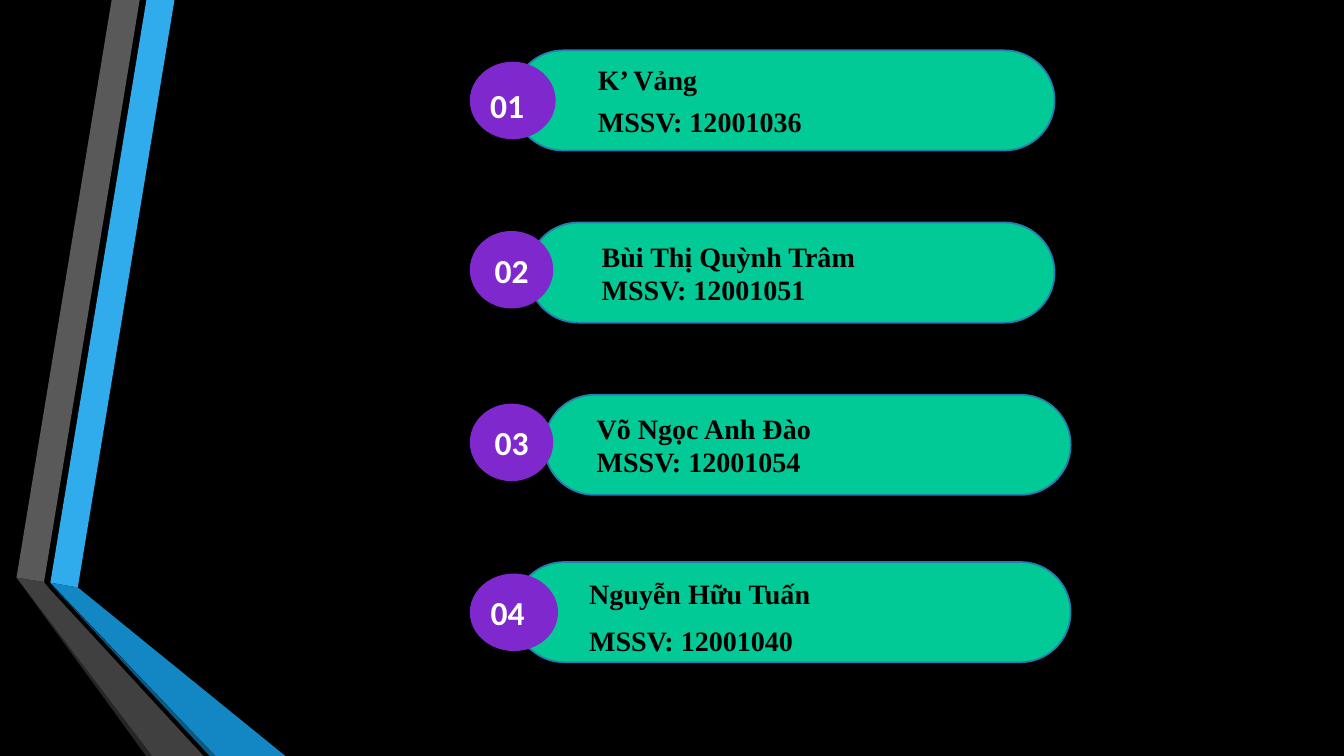
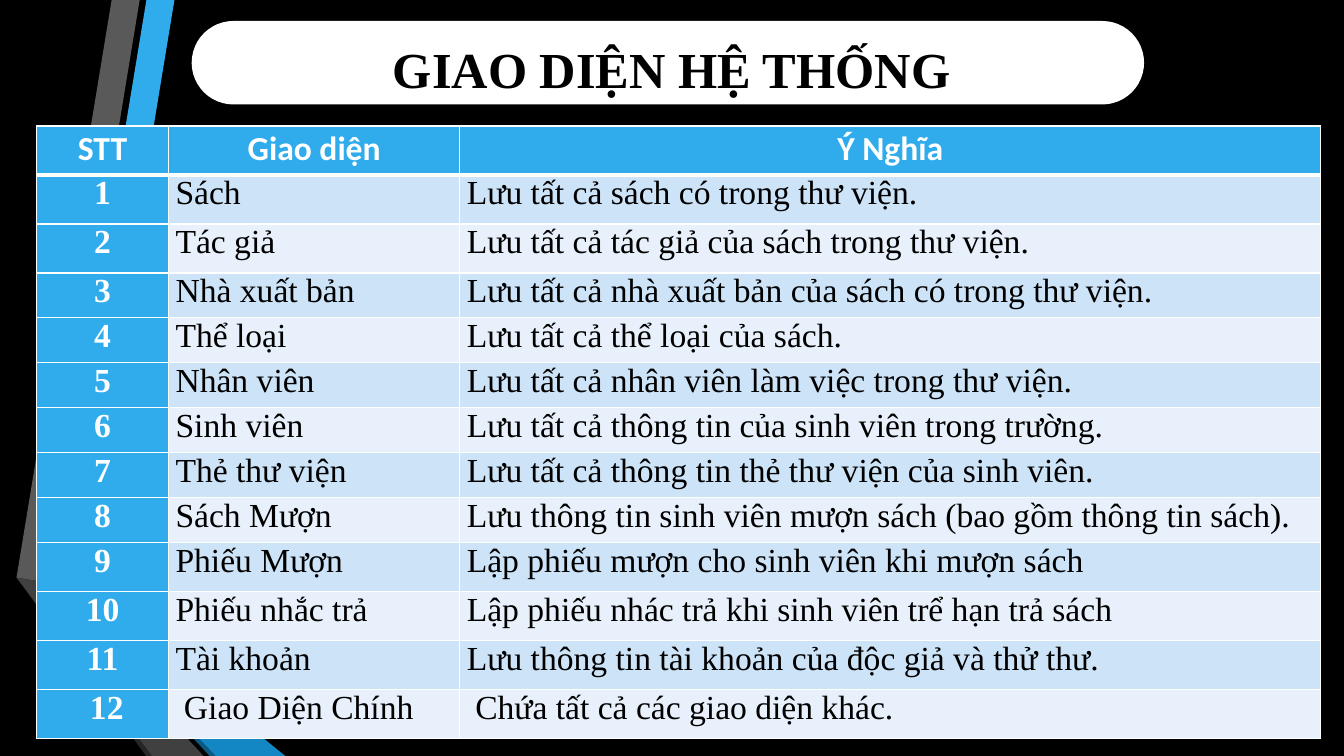
from dataclasses import dataclass

from lxml.etree import SubElement
from pptx import Presentation
from pptx.dml.color import RGBColor
from pptx.enum.shapes import MSO_SHAPE
from pptx.enum.text import MSO_ANCHOR, MSO_AUTO_SIZE, PP_ALIGN
from pptx.oxml.ns import qn
from pptx.util import Pt


@dataclass(frozen=True)
class Theme:
    heading_font: str = "Times New Roman"
    number_font: str = "Calibri"
    title_size: int = 36
    table_size: int = 24
    badge_size: int = 24
    card_size: int = 20
    black: str = "000000"
    white: str = "FFFFFF"
    blue: str = "30ACEC"
    green: str = "02CA96"
    green_edge: str = "247FAF"
    purple: str = "7E28CD"
    bands: tuple = ("CDE3F8", "E8F1FB")


@dataclass(frozen=True)
class Member:
    name: str
    code: str
    pill: tuple
    badge: tuple
    text_left: float
    gap: float = 0
    anchor: MSO_ANCHOR = MSO_ANCHOR.MIDDLE
    badge_margins: tuple = (0, 0, 0, 0)


THEME = Theme()
CORNER_INSET = 0.146  # share of a pill's height that its round ends take from the text area

RIBBONS = [
    (THEME.blue, [(36, 416.2), (55.6, 419.6), (124.6, 0), (104.6, 0)]),
    ("595959", [(99.8, 0), (79.8, 0), (11.8, 412.6), (31.5, 415.8)]),
    ("262626", [(11.8, 412.6), (104.4, 540), (108.7, 540)]),
    ("0C5A82", [(36, 416.9), (149.8, 540), (154.1, 540)]),
    ("1287C3", [(36, 416.2), (154.1, 540), (203.8, 540), (55.6, 419.6)]),
    ("404040", [(145.4, 540), (34.6, 419.8), (31.5, 415.8), (11.8, 412.6), (108.7, 540)]),
]

MEMBERS = [
    Member("K’ Vảng", "12001036", (366.5, 36, 386.8, 71.5), (335.6, 44.1, 61.3, 55.4),
           427, gap=5.8, badge_margins=(0, 7, 8, 0)),
    Member("Bùi Thị Quỳnh Trâm", "12001051", (377.3, 159, 376, 71.5),
           (335.6, 165, 59.6, 55.4), 429.8),
    Member("Võ Ngọc Anh Đào", "12001054", (388.8, 282, 376, 71.5),
           (335.6, 288.3, 59.6, 55.4), 426.2),
    Member("Nguyễn Hữu Tuấn", "12001040", (367.2, 401.5, 397.5, 71.5),
           (335.6, 409.7, 63, 55.4), 420.8, gap=9.4, anchor=MSO_ANCHOR.TOP,
           badge_margins=(0, 0, 9, 0)),
]

HEADER = ("STT", "Giao diện", "Ý Nghĩa")
SCREENS = [
    ("Sách", "Lưu tất cả sách có trong thư viện."),
    ("Tác giả", "Lưu tất cả tác giả của sách trong thư viện."),
    ("Nhà xuất bản", "Lưu tất cả nhà xuất bản của sách có trong thư viện."),
    ("Thể loại", "Lưu tất cả thể loại của sách."),
    ("Nhân viên", "Lưu tất cả nhân viên làm việc trong thư viện."),
    ("Sinh viên", "Lưu tất cả thông tin của sinh viên trong trường."),
    ("Thẻ thư viện", "Lưu tất cả thông tin thẻ thư viện của sinh viên."),
    ("Sách Mượn", "Lưu thông tin sinh viên mượn sách (bao gồm thông tin sách)."),
    ("Phiếu Mượn", "Lập phiếu mượn cho sinh viên khi mượn sách"),
    ("Phiếu nhắc trả", "Lập phiếu nhác trả khi sinh viên trể hạn trả sách"),
    ("Tài khoản", "Lưu thông tin tài khoản của độc giả và thử thư."),
    ("Giao Diện Chính", "Chứa tất cả các giao diện khác."),
]
COLUMN_WIDTHS = (94.3, 208.1, 614.9)
ROW_HEIGHTS = [35] * 3 + [32.1] * 6 + [35] * 4


def points(values):
    return [Pt(value) for value in values]


def paint(item, color):
    item.fill.solid()
    item.fill.fore_color.rgb = RGBColor.from_string(color)


def write(frame, text, *, size, font=THEME.heading_font, color=THEME.black, bold=True,
          align=PP_ALIGN.LEFT, gap=0, line_spacing=None):
    """Fill a text frame, one paragraph per line of text, with gap points between them."""
    frame.word_wrap = True
    for index, line in enumerate(text.split("\n")):
        para = frame.add_paragraph() if index else frame.paragraphs[0]
        para.alignment = align
        para.space_before = Pt(gap if index else 0)
        para.line_spacing = line_spacing
        span = para.add_run()
        span.text = line
        span.font.name = font
        span.font.size = Pt(size)
        span.font.bold = bold
        span.font.color.rgb = RGBColor.from_string(color)


def set_margins(holder, margins):
    """Set left, top, right and bottom insets of a text frame or a table cell."""
    (holder.margin_left, holder.margin_top,
     holder.margin_right, holder.margin_bottom) = points(margins)


def add_borders(cell, color, **widths):
    """Draw cell borders; widths are in points, keyed by side: L, R, T, B."""
    properties = cell._tc.get_or_add_tcPr()
    for side, width in widths.items():
        line = SubElement(properties, qn(f"a:ln{side}"), w=str(Pt(width)))
        fill = SubElement(line, qn("a:solidFill"))
        SubElement(fill, qn("a:srgbClr"), val=color)


class SlideBuilder:
    def __init__(self, theme):
        self.theme = theme
        self.deck = Presentation()
        self.deck.slide_width, self.deck.slide_height = Pt(960), Pt(540)
        paint(self.deck.slide_master.background, theme.black)
        self.page = None

    def add_page(self, layout_name):
        layout = self.deck.slide_layouts.get_by_name(layout_name)
        self.page = self.deck.slides.add_slide(layout)

    def move_ribbons_to_master(self):
        """Draw the ribbons on the current page, then hand them to the slide master."""
        for number, (color, corners) in enumerate(RIBBONS, start=101):
            start, *others = [points(corner) for corner in corners]
            builder = self.page.shapes.build_freeform(*start)
            builder.add_line_segments(others, close=True)
            ribbon = builder.convert_to_shape()
            ribbon.shadow.inherit = False
            ribbon.line.fill.background()
            paint(ribbon, color)
            ribbon.element.nvSpPr.cNvPr.set("id", str(number))
            self.deck.slide_master.shapes.element.append(ribbon.element)

    def shape(self, kind, bounds, color, edge=None):
        box = self.page.shapes.add_shape(kind, *points(bounds))
        box.shadow.inherit = False
        paint(box, color)
        if edge:
            box.line.color.rgb = RGBColor.from_string(edge)
            box.line.width = Pt(1.25)
        else:
            box.line.fill.background()
        return box

    def pill(self, bounds, color, edge=None):
        box = self.shape(MSO_SHAPE.ROUNDED_RECTANGLE, bounds, color, edge)
        box.adjustments[0] = 0.5
        return box

    def member_card(self, number, member):
        theme = self.theme
        left, _, _, height = member.pill
        frame = self.pill(member.pill, theme.green, theme.green_edge).text_frame
        set_margins(frame, (member.text_left - left - CORNER_INSET * height, 0, 0, 0))
        frame.vertical_anchor = member.anchor
        write(frame, f"{member.name}\nMSSV: {member.code}", size=theme.card_size,
              gap=member.gap)

        frame = self.shape(MSO_SHAPE.OVAL, member.badge, theme.purple).text_frame
        set_margins(frame, member.badge_margins)
        frame.vertical_anchor = MSO_ANCHOR.MIDDLE
        write(frame, f"{number:02}", size=theme.badge_size, font=theme.number_font,
              color=theme.white, align=PP_ALIGN.CENTER)

    def title(self, text):
        self.pill((136.9, 15, 680.3, 59.6), self.theme.white)
        title = self.page.shapes.title
        self.page.shapes.element.append(title.element)  # in front of the pill
        title.left, title.top, title.width, title.height = points((172.1, 23.8, 615.6, 51.1))
        frame = title.text_frame
        frame.auto_size = MSO_AUTO_SIZE.NONE
        frame.vertical_anchor = MSO_ANCHOR.TOP
        set_margins(frame, (7.2, 3.6, 7.2, 3.6))
        write(frame, text, size=self.theme.title_size, align=PP_ALIGN.CENTER)

    def cell(self, cell, text, row, column, is_last):
        theme = self.theme
        is_header, is_key = row == 0, column == 0
        is_accent = is_header or is_key
        add_borders(cell, theme.white, L=1, R=1, T=3 if row == 1 else 1,
                    B=3 if is_header else 1)
        paint(cell, theme.blue if is_accent else theme.bands[(row - 1) % 2])
        set_margins(cell, (11 if is_last else 5, 0, 5, 0))
        write(cell.text_frame, text, size=theme.table_size,
              font=theme.number_font if is_header else theme.heading_font,
              color=theme.white if is_accent else theme.black, bold=is_accent,
              align=PP_ALIGN.CENTER if is_accent else PP_ALIGN.LEFT,
              line_spacing=1.07 if is_header else None)

    def table(self, rows, left, top):
        bounds = points((left, top, sum(COLUMN_WIDTHS), sum(ROW_HEIGHTS)))
        table = self.page.shapes.add_table(len(rows), len(COLUMN_WIDTHS), *bounds).table
        table.horz_banding = table.first_row = False
        for column, width in zip(table.columns, COLUMN_WIDTHS):
            column.width = Pt(width)
        for row, height in zip(table.rows, ROW_HEIGHTS):
            row.height = Pt(height)
        for row, texts in enumerate(rows):
            for column, text in enumerate(texts):
                self.cell(table.cell(row, column), text, row, column, row == len(rows) - 1)


def main():
    slides = SlideBuilder(THEME)

    slides.add_page("Blank")
    slides.move_ribbons_to_master()
    for number, member in enumerate(MEMBERS, start=1):
        slides.member_card(number, member)

    slides.add_page("Title Only")
    slides.title("GIAO DIỆN HỆ THỐNG")
    numbered = [(str(number), *screen) for number, screen in enumerate(SCREENS, start=1)]
    slides.table([HEADER, *numbered], left=26.1, top=90)

    slides.deck.save("out.pptx")


if __name__ == "__main__":
    main()
